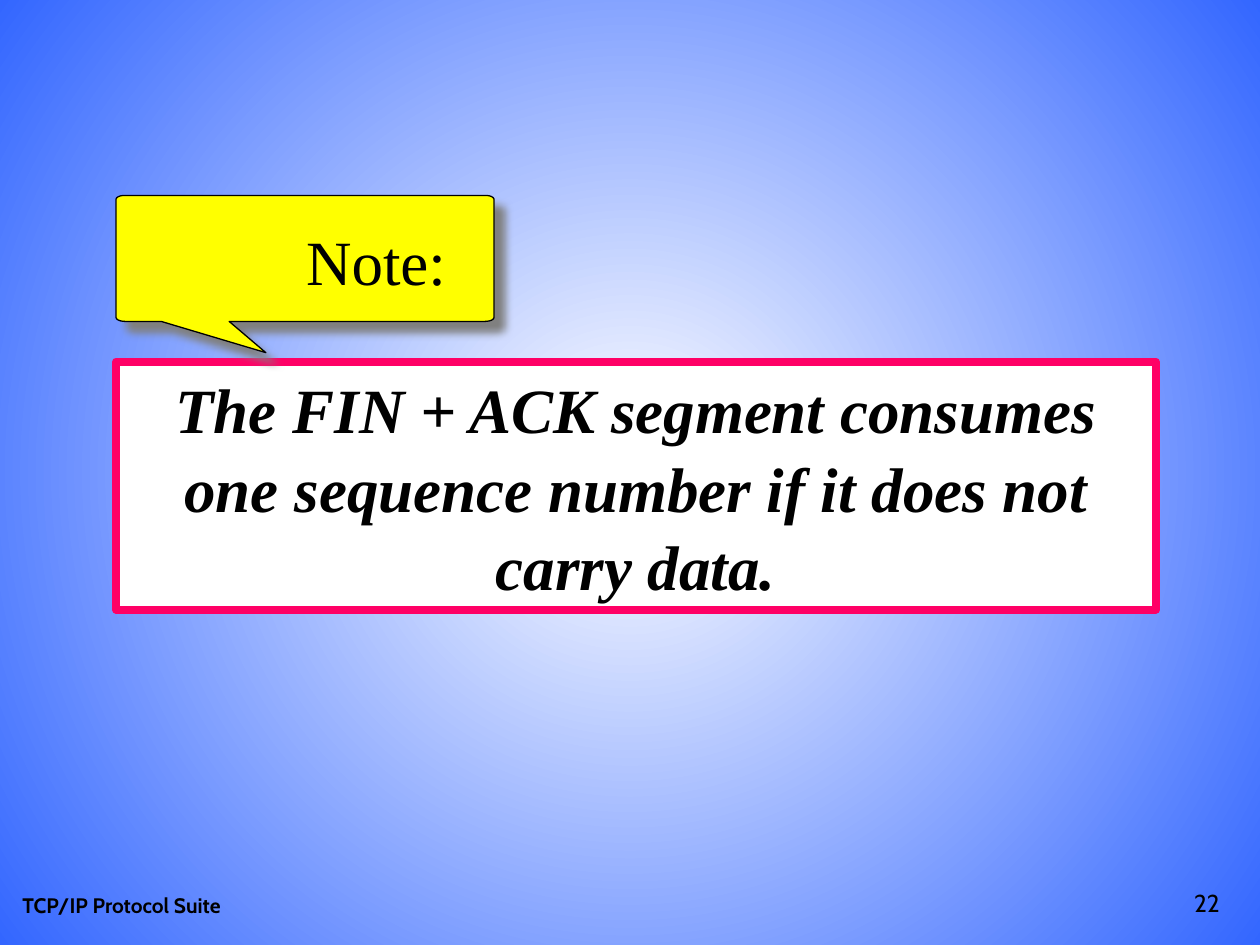
import math

import lxml.etree
import pptx
import pptx.dml.color
import pptx.enum.shapes
import pptx.enum.text
import pptx.oxml
import pptx.oxml.ns
import pptx.util

Cm = pptx.util.Cm
Pt = pptx.util.Pt
ALIGN = pptx.enum.text.PP_ALIGN
ANCHOR = pptx.enum.text.MSO_ANCHOR

COLORS = {
    "text": "000000",
    "center": "FFFFFF",
    "edge": "3366FF",
    "box": "FFFFFF",
    "frame": "FF0066",
    "callout": "FFFF00",
    "shadow": "808080",
}
SERIF = "Times New Roman"
SANS = "Cabin"


class NoteSlide:
    """Style and drawing methods for a note slide."""

    def __init__(self, slide):
        self.slide = slide

    def color(self, key):
        return pptx.dml.color.RGBColor.from_string(COLORS[key])

    def radial_background(self):
        fill = self.slide.background.fill
        fill.solid()
        bg_pr = self.slide.element.cSld.find(".//" + pptx.oxml.ns.qn("p:bgPr"))
        gradient = pptx.oxml.parse_xml(
            f'<a:gradFill {pptx.oxml.ns.nsdecls("a")} rotWithShape="0"><a:gsLst>'
            f'<a:gs pos="0"><a:srgbClr val="{COLORS["center"]}"/></a:gs>'
            f'<a:gs pos="100000"><a:srgbClr val="{COLORS["edge"]}"/></a:gs>'
            '</a:gsLst><a:path path="circle">'
            '<a:fillToRect l="50000" t="50000" r="50000" b="50000"/>'
            "</a:path></a:gradFill>")
        bg_pr.replace(bg_pr[0], gradient)

    def paint(self, shape, fill, line, width):
        shape.shadow.inherit = False
        shape.fill.solid()
        shape.fill.fore_color.rgb = self.color(fill)
        shape.line.color.rgb = self.color(line)
        shape.line.width = Pt(width)

    def set_text(self, shape, words, size, font, align=ALIGN.LEFT,
                 anchor=ANCHOR.TOP, bold=False, italic=False):
        frame = shape.text_frame
        frame.word_wrap = True
        frame.vertical_anchor = anchor
        paragraph = frame.paragraphs[0]
        paragraph.text = words
        paragraph.alignment = align
        paragraph.font.name = font
        paragraph.font.size = Pt(size)
        paragraph.font.bold = bold
        paragraph.font.italic = italic
        paragraph.font.color.rgb = self.color("text")
        return paragraph

    def label(self, left, top, width, height, words, size, font, **style):
        box = self.slide.shapes.add_textbox(Cm(left), Cm(top), Cm(width), Cm(height))
        self.set_text(box, words, size, font, **style)

    def statement(self, left, top, width, height, words):
        box = self.slide.shapes.add_shape(
            pptx.enum.shapes.MSO_SHAPE.RECTANGLE,
            Cm(left), Cm(top), Cm(width), Cm(height))
        self.paint(box, "box", "frame", 4.5)
        paragraph = self.set_text(box, words, 36, SERIF, align=ALIGN.CENTER,
                                  bold=True, italic=True)
        paragraph.line_spacing = 1.04

    def callout(self, left, top, width, height, tail, rx=0.18, ry=0.08):
        """Round-cornered box whose tail leaves the bottom edge."""
        right, bottom = left + width, top + height

        def corner(x, y, start):
            angles = [math.radians(start + step) for step in range(0, 91, 15)]
            return [(x + rx * math.cos(a), y + ry * math.sin(a)) for a in angles]

        outline = (corner(left + rx, top + ry, 180)
                   + corner(right - rx, top + ry, 270)
                   + corner(right - rx, bottom - ry, 0)
                   + tail
                   + corner(left + rx, bottom - ry, 90))
        points = [(Cm(x), Cm(y)) for x, y in outline]
        builder = self.slide.shapes.build_freeform(*points[0])
        builder.add_line_segments(points[1:], close=True)
        bubble = builder.convert_to_shape()
        self.paint(bubble, "callout", "text", 0.75)

        # Soft shadow to the lower right
        effects = bubble.element.spPr.find(pptx.oxml.ns.qn("a:effectLst"))
        shadow = lxml.etree.SubElement(
            effects, pptx.oxml.ns.qn("a:outerShdw"), blurRad=str(Pt(5)),
            dist=str(Pt(8.5)), dir="2700000", algn="ctr", rotWithShape="0")
        lxml.etree.SubElement(shadow, pptx.oxml.ns.qn("a:srgbClr"),
                              val=COLORS["shadow"])


def main():
    deck = pptx.Presentation()
    deck.slide_width, deck.slide_height = Cm(25.4), Cm(19.05)
    note = NoteSlide(deck.slides.add_slide(deck.slide_layouts[6]))
    note.radial_background()

    # Footer and page number
    note.label(0.2, 17.35, 8.05, 1.27, "TCP/IP Protocol Suite", 12, SANS,
               anchor=ANCHOR.BOTTOM, bold=True)
    note.label(19.56, 17.35, 5.28, 1.27, "22", 14, SANS,
               align=ALIGN.RIGHT, anchor=ANCHOR.BOTTOM)

    # Statement
    note.statement(2.34, 7.29, 20.96, 5, "The FIN + ACK segment consumes one "
                   "sequence number if it does not carry data.")

    # Note callout
    note.callout(2.34, 3.94, 7.62, 2.54,
                 tail=[(4.62, 6.48), (5.36, 7.11), (3.25, 6.48)])
    note.label(5.92, 4.37, 3.33, 1.78, "Note:", 36, SERIF)

    deck.save("out.pptx")


if __name__ == "__main__":
    main()
